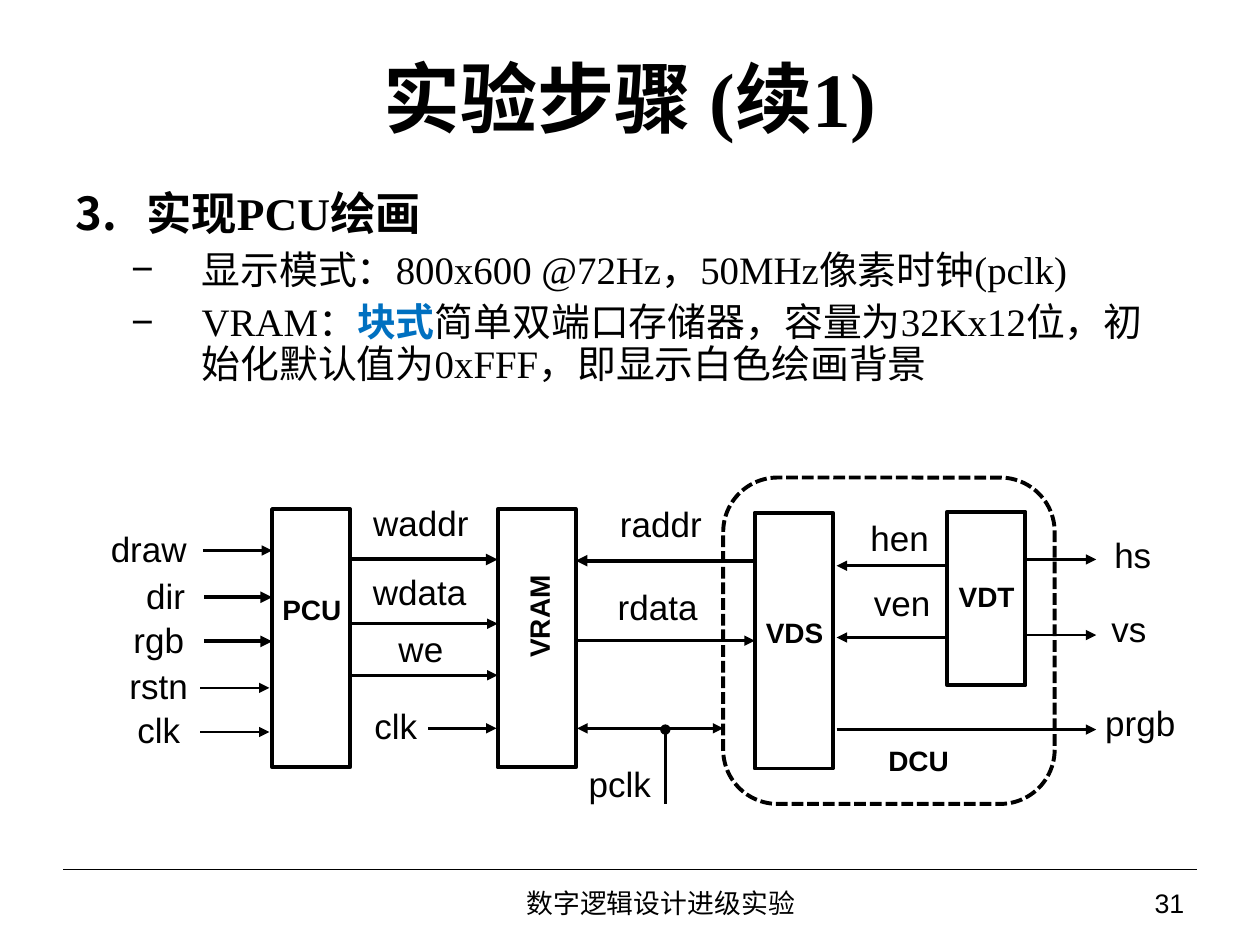
import pptx
import pptx.util
import pptx.dml.color
import pptx.enum.dml
import pptx.enum.shapes
import pptx.enum.text
import pptx.oxml.ns
import lxml.etree

Pt = pptx.util.Pt
Shape = pptx.enum.shapes.MSO_SHAPE
Align = pptx.enum.text.PP_ALIGN
BLACK = pptx.dml.color.RGBColor(0x00, 0x00, 0x00)
BLUE = pptx.dml.color.RGBColor(0x00, 0x70, 0xC0)
SERIF, SANS = "Times New Roman", "Arial"
THIN, THICK = 1.5, 2.25

# Blocks: name -> left, top, width, height
BLOCKS = {
    "PCU": (155.5, 290.9, 44.6, 147.6),
    "VRAM": (284.4, 290.9, 44.6, 147.6),
    "VDS": (431.3, 293, 44.6, 146.2),
    "VDT": (541.4, 292.3, 44.6, 99.4),
}
# Block names: text, centre x, centre y, turn
NAMES = [
    ("PCU", 178.2, 348.1, 0), ("VRAM", 307.8, 352.4, 270),
    ("VDS", 454, 361.1, 0), ("VDT", 563.8, 340.9, 0), ("DCU", 524.9, 434.5, 0),
]
# Signal names: text, centre x, centre y
SIGNALS = [
    ("draw", 85, 313.2), ("dir", 94.7, 340.2), ("rgb", 90.7, 365.4),
    ("rstn", 90.7, 391.7), ("clk", 90.7, 416.9), ("clk", 226.1, 414.7),
    ("waddr", 240.5, 298.4), ("wdata", 239.8, 338), ("we", 240.5, 370.8),
    ("raddr", 377.6, 299.2), ("rdata", 375.8, 346.7), ("pclk", 354.2, 447.8),
    ("hen", 514.1, 307.4), ("ven", 515.5, 344.2), ("hs", 647.3, 316.8),
    ("vs", 645.1, 359.3), ("prgb", 651.6, 412.9),
]
# Level wires that point at their second x: from x, to x, y, width
WIRES = [
    (116, 155.5, 314.6, THIN), (116.6, 155.5, 341.3, THICK),
    (116.6, 155.5, 366.5, THICK), (114.5, 154, 393.1, THIN),
    (114.5, 154, 418.3, THIN), (244.8, 283.7, 416.2, THIN),
    (200.2, 284.4, 319.7, THICK), (200.2, 284.4, 356.4, THIN),
    (200.2, 284.4, 385.9, THIN), (430.6, 329, 320.4, THICK),
    (541.8, 478.1, 323.3, THIN), (541, 478.1, 364.3, THIN),
    (586.8, 626.4, 319.7, THIN), (586.8, 626.4, 362.9, THIN),
    (478.1, 626.4, 416.9, THIN),
]


def add_tag(parent, tag, **attrs):
    node = lxml.etree.SubElement(parent, pptx.oxml.ns.qn(tag))
    for key, value in attrs.items():
        node.set(key, value)
    return node


def add_line(slide, start, end, width, head=None, tail=None):
    line = slide.shapes.add_connector(
        pptx.enum.shapes.MSO_CONNECTOR.STRAIGHT,
        *[Pt(n) for n in (*start, *end)])
    line.line.color.rgb = BLACK
    line.line.width = Pt(width)
    pen = line.line._get_or_add_ln()
    for tag, kind in (("a:headEnd", head), ("a:tailEnd", tail)):
        if kind:
            add_tag(pen, tag, type=kind)
    add_tag(line._element.spPr, "a:effectLst")
    return line


def add_block(slide, kind, place):
    block = slide.shapes.add_shape(kind, *[Pt(n) for n in place])
    block.shadow.inherit = False
    block.fill.background()
    block.line.color.rgb = BLACK
    block.line.width = Pt(THICK)
    return block


def style(para, size, face, bold=False):
    para.font.size = Pt(size)
    para.font.name = face
    para.font.bold = bold
    para.font.color.rgb = BLACK


def add_label(slide, text, x, y, size=20, bold=False, width=60,
              align=Align.CENTER, turn=0):
    high = 24
    box = slide.shapes.add_textbox(
        Pt(x - width / 2), Pt(y - high / 2), Pt(width), Pt(high))
    box.rotation = turn
    frame = box.text_frame
    frame.margin_left = frame.margin_right = 0
    frame.margin_top = frame.margin_bottom = 0
    frame.word_wrap = True
    frame.vertical_anchor = pptx.enum.text.MSO_ANCHOR.MIDDLE
    para = frame.paragraphs[0]
    para.text = text
    para.alignment = align
    style(para, size, SANS, bold)


def place(shape, left, top, width, height):
    shape.left, shape.top = Pt(left), Pt(top)
    shape.width, shape.height = Pt(width), Pt(height)
    shape.text_frame.auto_size = pptx.enum.text.MSO_AUTO_SIZE.NONE


def add_item(para, parts, level, size, bullet, **attrs):
    para.level = level
    para.line_spacing = 0.9
    para.space_before, para.space_after = Pt(0), Pt(6)
    props = para._p.get_or_add_pPr()
    props.set("marL", str(Pt((40.3, 72)[level])))
    props.set("indent", str(Pt(-40.3)))
    add_tag(props, "a:buFont", typeface=SANS)
    add_tag(props, bullet, **attrs)
    style(para, size, SERIF, level == 0)
    for text, strong in parts:
        run = para.add_run()
        run.text = text
        if strong:
            run.font.bold = True
            run.font.color.rgb = BLUE


def fill_text(slide):
    title, body = slide.placeholders[0], slide.placeholders[1]
    place(title, 36, 21.6, 648, 67)
    para = title.text_frame.paragraphs[0]
    para.text = "实验步骤 (续1)"
    style(para, 44, SERIF, True)

    place(body, 36, 105.8, 630, 154.8)
    frame = body.text_frame
    add_item(frame.paragraphs[0], [("实现PCU绘画", False)], 0, 25.9,
             "a:buAutoNum", type="arabicPeriod", startAt="3")
    points = [
        [("显示模式：800x600 @72Hz，50MHz像素时钟(pclk)", False)],
        [("VRAM：", False), ("块式", True),
         ("简单双端口存储器，容量为32Kx12位，初始化默认值为0xFFF，"
          "即显示白色绘画背景", False)],
    ]
    for parts in points:
        add_item(frame.add_paragraph(), parts, 1, 22.2, "a:buChar", char="−")


def draw_plan(slide):
    blocks = {name: add_block(slide, Shape.RECTANGLE, spot)
              for name, spot in BLOCKS.items()}
    # Dashed frame of the display unit
    unit = add_block(slide, Shape.ROUNDED_RECTANGLE,
                     (413.3, 272.9, 189.4, 186.5))
    unit.line.dash_style = pptx.enum.dml.MSO_LINE.SQUARE_DOT

    # Wires, with the read data joined to its block
    for start, end, y, width in WIRES:
        add_line(slide, (start, y), (end, y), width, tail="triangle")
    data = add_line(slide, (329.8, 366.1), (431.3, 366.1), THIN,
                    tail="triangle")
    data.end_connect(blocks["VDS"], 1)

    # Pixel clock and its branch
    add_line(slide, (329.8, 416.2), (413.3, 416.2), THIN,
             "triangle", "triangle")
    add_line(slide, (380.2, 459.4), (380.2, 416.9), THIN, tail="oval")

    # Names
    for text, x, y in SIGNALS:
        add_label(slide, text, x, y)
    for text, x, y, turn in NAMES:
        add_label(slide, text, x, y, 16, True, turn=turn)


def main():
    deck = pptx.Presentation()
    deck.slide_width, deck.slide_height = Pt(720), Pt(540)
    slide = deck.slides.add_slide(deck.slide_layouts[1])
    fill_text(slide)
    draw_plan(slide)
    # Footer
    add_line(slide, (36, 496.8), (684, 496.8), 0.75)
    add_label(slide, "数字逻辑设计进级实验", 377.6, 515.9, 15.3, width=334)
    add_label(slide, "31", 621, 515.9, 15.3, width=111.6, align=Align.RIGHT)
    deck.save("out.pptx")


if __name__ == "__main__":
    main()
